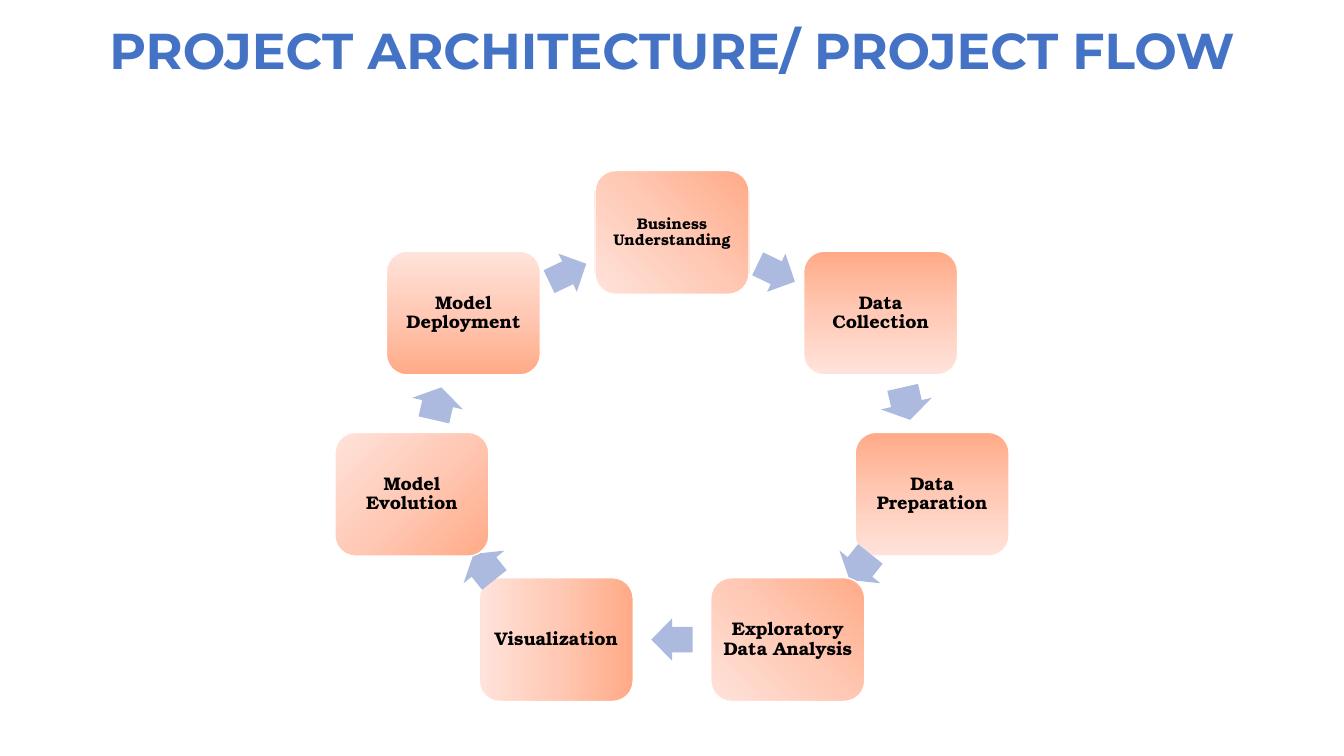
from copy import deepcopy
from math import cos, pi, sin

from pptx import Presentation
from pptx.dml.color import RGBColor
from pptx.enum.shapes import MSO_SHAPE as Kind
from pptx.enum.text import MSO_ANCHOR as Anchor, PP_ALIGN as Align
from pptx.util import Pt


def color(code):
    return RGBColor.from_string(code)


class Flow:
    title_font, step_font = "Montserrat", "TeX Gyre Bonum"
    blue, pale, black, white = "4472C4", "ABBADE", "000000", "FFFFFF"
    fade = ((0, "FFAA87"), (0.5, "FFC9B5"), (1, "FFE3DB"))
    box_w, box_h = 110, 88.4

    def __init__(self, slide):
        self.slide = slide

    def label(self, shape, text, font, size, ink, inset):
        frame = shape.text_frame
        frame.word_wrap = True
        frame.vertical_anchor = Anchor.MIDDLE
        frame.margin_left = frame.margin_right = Pt(inset)
        frame.margin_top = frame.margin_bottom = Pt(inset)
        line = frame.paragraphs[0]
        line.text = text
        line.alignment = Align.CENTER
        line.line_spacing = 0.9
        line.font.name = font
        line.font.size = Pt(size)
        line.font.bold = True
        line.font.color.rgb = color(ink)

    def shape(self, kind, x, y, w, h):
        shape = self.slide.shapes.add_shape(
            kind, Pt(x - w / 2), Pt(y - h / 2), Pt(w), Pt(h))
        shape.shadow.inherit = False
        return shape

    def title(self, text):
        box = self.slide.shapes.add_textbox(Pt(0), Pt(10), Pt(960), Pt(55.5))
        self.label(box, text, self.title_font, 36, self.blue, 3.6)

    def step(self, kind, x, y, text, size, angle):
        box = self.shape(kind, x, y, self.box_w, self.box_h)
        box.fill.gradient()
        box.fill.gradient_angle = 360 - angle
        stops = box._element.spPr.xpath(".//a:gsLst")[0]
        stops.append(deepcopy(stops[0]))
        for stop, (place, code) in zip(box.fill.gradient_stops, self.fade):
            stop.position = place
            stop.color.rgb = color(code)
        box.line.color.rgb = color(self.white)
        box.line.width = Pt(1)
        self.label(box, text, self.step_font, size, self.black, 2.5)

    def arrow(self, x, y, w, h, turn):
        arrow = self.shape(Kind.RIGHT_ARROW, x, y, w, h)
        arrow.adjustments[0] = 0.6
        arrow.adjustments[1] = 0.5
        arrow.rotation = turn
        arrow.fill.solid()
        arrow.fill.fore_color.rgb = color(self.pale)
        arrow.line.fill.background()


def main():
    deck = Presentation()
    deck.slide_width, deck.slide_height = Pt(960), Pt(540)
    flow = Flow(deck.slides.add_slide(deck.slide_layouts[6]))
    flow.title("PROJECT ARCHITECTURE/ PROJECT FLOW")

    alt, rounded = Kind.FLOWCHART_ALTERNATE_PROCESS, Kind.ROUNDED_RECTANGLE
    steps = [
        (alt, "Business Understanding", 11, 135),
        (rounded, "Data Collection", 13, 90),
        (rounded, "Data Preparation", 13, 90),
        (rounded, "Exploratory Data Analysis", 13, 135),
        (rounded, "Visualization", 13, 180),
        (rounded, "Model Evolution", 13, 225),
        (rounded, "Model Deployment", 13, 270),
    ]
    count = len(steps)
    turns = [2 * pi * i / count for i in range(count)]
    spots = [(480 + 190.6 * sin(t), 319 - 153 * cos(t)) for t in turns]

    for i, (kind, text, size, angle) in enumerate(steps):
        x, y = spots[i]
        next_x, next_y = spots[(i + 1) % count]
        turn = 360 * (i + 0.5) / count
        flat = abs(next_x - x) > abs(next_y - y) * 1.5
        w, h = (29.5, 30.2) if flat else (23.8, 37.4)
        flow.step(kind, x, y, text, size, angle)
        flow.arrow((x + next_x) / 2, (y + next_y) / 2, w, h, turn)

    deck.save("out.pptx")


if __name__ == "__main__":
    main()
